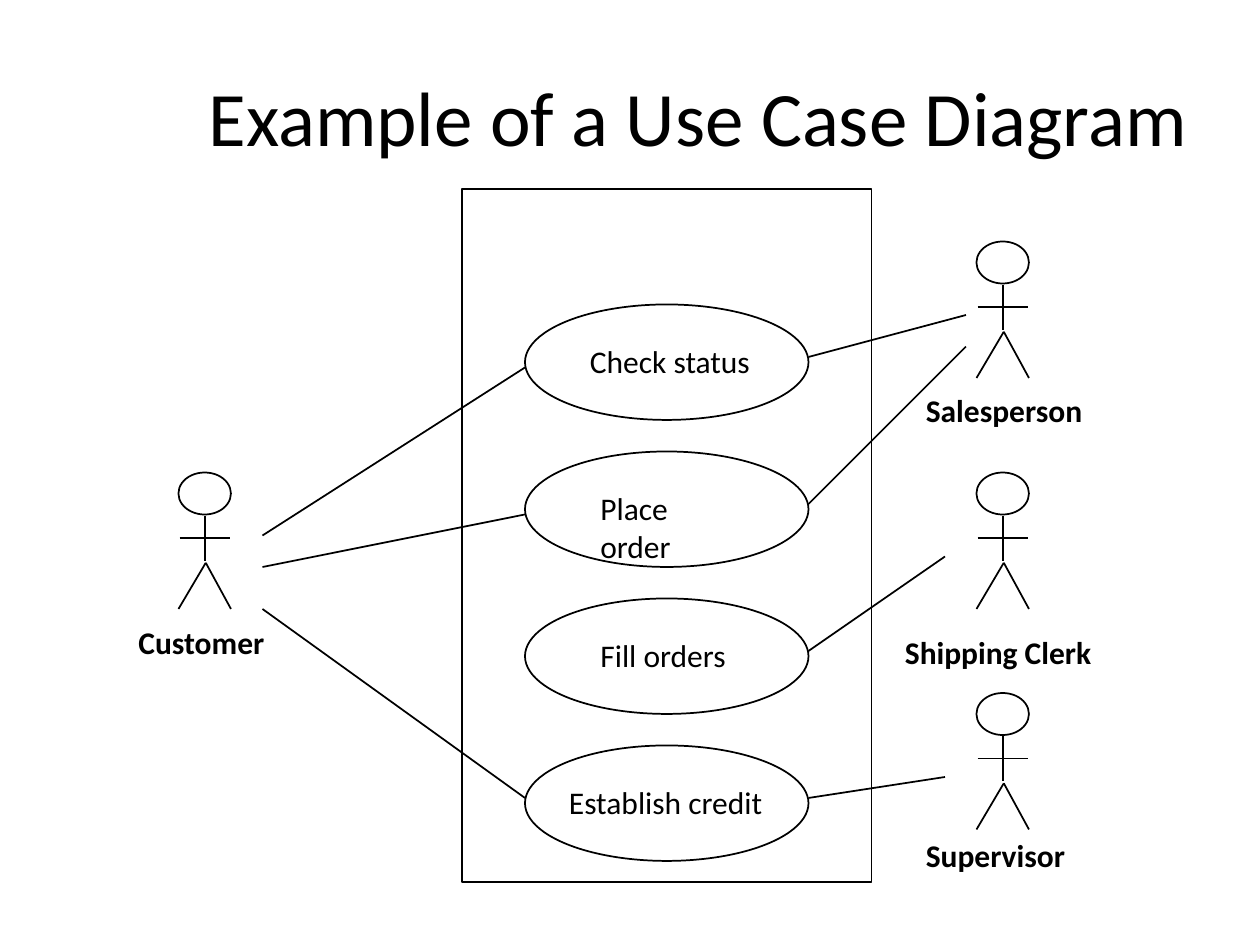
from pptx import Presentation
from pptx.dml.color import RGBColor
from pptx.enum.shapes import MSO_CONNECTOR as CONN, MSO_SHAPE as SHAPE
from pptx.enum.text import MSO_ANCHOR as ANCHOR, PP_ALIGN as ALIGN
from pptx.oxml.ns import qn
from pptx.util import Inches, Pt
from lxml.etree import SubElement

BLACK = RGBColor(0, 0, 0)

deck = Presentation()
deck.slide_width, deck.slide_height = Inches(10), Inches(7.5)
slide = deck.slides.add_slide(deck.slide_layouts[6])
shapes = slide.shapes

# The grid has 120 columns and 90 rows of one size.
UNIT = deck.slide_width / 120


def draw(kind, *grid, home=shapes):
    """Add a black outline, or a line when kind is a connector, in grid units."""
    box = [round(n * UNIT) for n in grid]
    if isinstance(kind, CONN):
        item = home.add_connector(kind, *box)
        SubElement(item._element.spPr, qn("a:effectLst"))
    else:
        item = home.add_shape(kind, *box)
        item.fill.background()
        item.shadow.inherit = False
    item.line.color.rgb = BLACK
    item.line.width = Pt(1)


def write(text, *grid, size=18, bold=False, wrap=False):
    """Add a text box, in grid units, and return it."""
    box = shapes.add_textbox(*[round(n * UNIT) for n in grid])
    box.text_frame.word_wrap = wrap
    run = box.text_frame.paragraphs[0].add_run()
    run.text = text
    font = run.font
    font.name, font.size, font.bold = "Calibri", Pt(size), bold
    font.color.rgb = BLACK
    return box


title = write("Example of a Use Case Diagram", 14, 4, 105, 12, size=44, wrap=True)
title.text_frame.vertical_anchor = ANCHOR.BOTTOM
title.text_frame.paragraphs[0].alignment = ALIGN.CENTER

# System boundary and its use cases
draw(SHAPE.RECTANGLE, 44, 18, 39, 66)
cases = [
    ("Check status", 55, 18.5),
    ("Place order", 56, 15.6),
    ("Fill orders", 56, 14.8),
    ("Establish credit", 53, 21),
]
for i, (name, left, wide) in enumerate(cases):
    top = 29 + 14 * i
    draw(SHAPE.OVAL, 50, top, 27, 11)
    write(name, left, top + 3, wide, 4.8, wrap=name == "Place order")

# Actors: name, figure left and top, label left, top and width
actors = [
    ("Customer", 17, 45, 12, 58.7, 15),
    ("Salesperson", 93, 23, 87, 36.7, 17.5),
    ("Shipping Clerk", 93, 45, 85, 59.7, 22),
    ("Supervisor", 93, 66, 87, 79, 16.3),
]
limbs = [
    (2.5, 4.1, 2.5, 8.4),
    (2.6, 8.6, 0, 13),
    (2.6, 8.6, 5, 13),
    (0.1, 6.25, 4.9, 6.25),
]
for name, x, y, left, top, wide in actors:
    body = shapes.add_group_shape().shapes
    draw(SHAPE.OVAL, x, y, 5, 4, home=body)
    for x1, y1, x2, y2 in limbs:
        draw(CONN.STRAIGHT, x + x1, y + y1, x + x2, y + y2, home=body)
    write(name, left, top, wide, 4.8, bold=True)

# Links from each actor to the near side of a use case
links = [
    (25, 51, 50, 35),
    (25, 54, 50, 49),
    (25, 58, 50, 76),
    (90, 74, 77, 76),
    (90, 53, 77, 62),
    (92, 33, 77, 48),
    (92, 30, 77, 34),
]
for link in links:
    draw(CONN.STRAIGHT, *link)

deck.save("out.pptx")
